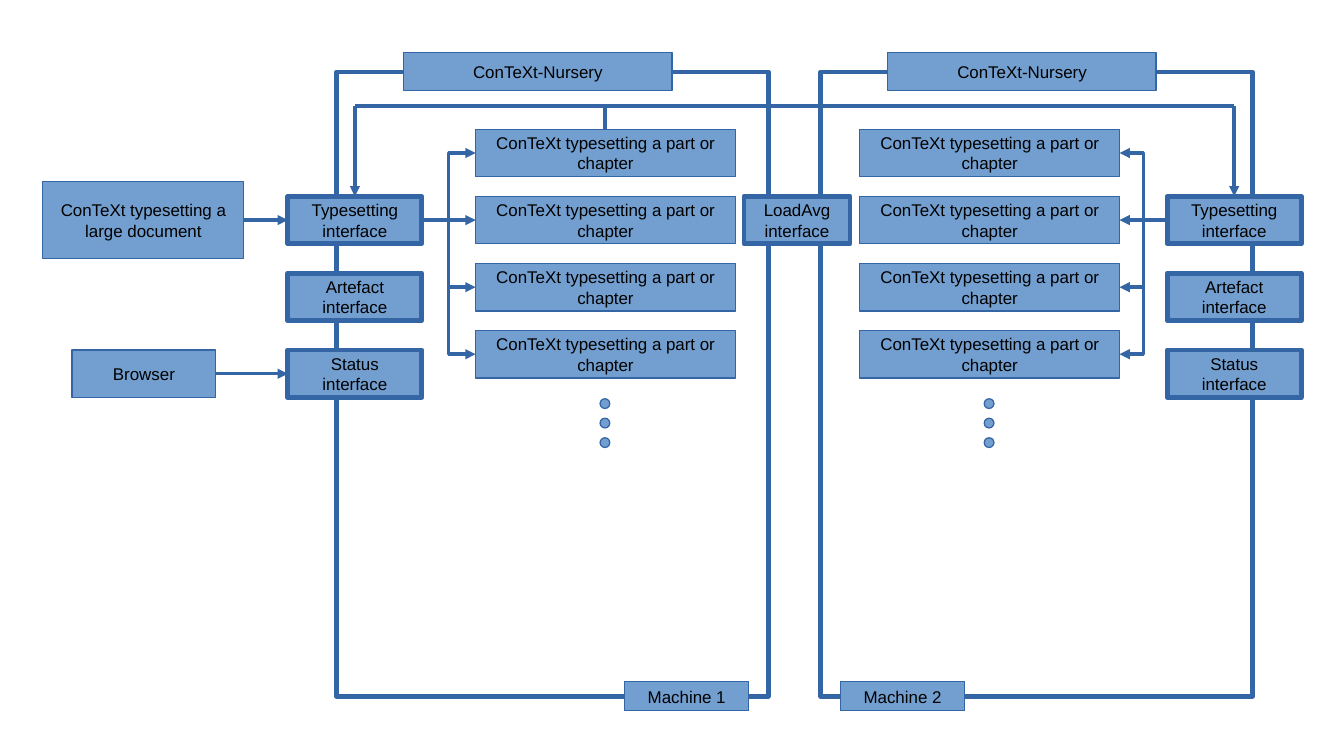
from lxml import etree
from pptx import Presentation
from pptx.dml.color import RGBColor
from pptx.enum.shapes import MSO_CONNECTOR, MSO_SHAPE
from pptx.enum.text import MSO_ANCHOR, PP_ALIGN
from pptx.oxml.ns import qn
from pptx.util import Inches, Pt

RECT, OVAL = MSO_SHAPE.RECTANGLE, MSO_SHAPE.OVAL
STRAIGHT, ELBOW = MSO_CONNECTOR.STRAIGHT, MSO_CONNECTOR.ELBOW
MIDDLE, CENTER = MSO_ANCHOR.MIDDLE, PP_ALIGN.CENTER
LEFT, RIGHT = 1, 3
FILL, EDGE, INK = "729FCF", "3465A4", "000000"
THIN, THICK = 0, 2.83
PART = "ConTeXt typesetting a part or chapter"
PORTS = ["Typesetting interface", "Artefact interface", "Status interface"]
ROW, HIGH = 1.61, 0.39
BUS = 0.87


def color(code):
    return RGBColor.from_string(code)


def add_form(slide, kind, x, y, w, h, width=THIN, fill=FILL):
    form = slide.shapes.add_shape(kind, Inches(x), Inches(y), Inches(w), Inches(h))
    form.shadow.inherit = False
    if fill:
        form.fill.solid()
        form.fill.fore_color.rgb = color(fill)
    else:
        form.fill.background()
    form.line.color.rgb = color(EDGE)
    form.line.width = Pt(width)
    return form


def add_box(slide, text, x, y, w, h, width=THIN):
    box = add_form(slide, RECT, x, y, w, h, width)
    frame = box.text_frame
    frame.word_wrap = True
    frame.vertical_anchor = MIDDLE
    side, edge = (0.12, 0.07) if width else (0.1, 0.05)
    frame.margin_left = frame.margin_right = Inches(side)
    frame.margin_top = frame.margin_bottom = Inches(edge)
    para = frame.paragraphs[0]
    para.alignment = CENTER
    run = para.add_run()
    run.text = text
    run.font.name = "Arial"
    run.font.size = Pt(10)
    run.font.color.rgb = color(INK)
    return box


def add_line(slide, start, end, kind=STRAIGHT, arrow=True):
    ends = [Inches(v) for v in (*start, *end)]
    line = slide.shapes.add_connector(kind, *ends)
    line.line.color.rgb = color(EDGE)
    line.line.width = Pt(THIN)
    if arrow:
        etree.SubElement(line.line._get_or_add_ln(), qn("a:tailEnd"), type="triangle")
    etree.SubElement(line._element.spPr, qn("a:effectLst"))
    return line


def link(slide, first, last, out=RIGHT, into=LEFT):
    level = abs(first.top + first.height // 2 - last.top - last.height // 2) < Inches(0.01)
    line = add_line(slide, (0, 0), (0, 0), STRAIGHT if level else ELBOW)
    line.begin_connect(first, out)
    line.end_connect(last, into)


def add_host(slide, x, part, port, tag, name, out, into):
    add_form(slide, RECT, x, 0.59, 3.54, 5.12, THICK, None)
    add_box(slide, "ConTeXt-Nursery", x + 0.55, 0.43, 2.2, 0.31)
    add_box(slide, name, tag, 5.59, 1.02, 0.24)
    parts = [add_box(slide, PART, part, 1.06 + 0.55 * i, 2.13, HIGH) for i in range(4)]
    ports = [add_box(slide, text, port, ROW + 0.63 * i, 1.1, HIGH, THICK)
             for i, text in enumerate(PORTS)]
    for i in range(3):
        add_form(slide, OVAL, part + 1.02, 3.27 + 0.16 * i, 0.08, 0.08)
    for item in parts:
        link(slide, ports[0], item, out, into)
    return ports


def main():
    deck = Presentation()
    deck.slide_width, deck.slide_height = Inches(11.02), Inches(6.2)
    slide = deck.slides.add_slide(deck.slide_layouts[6])

    ports = add_host(slide, 2.76, 3.9, 2.36, 5.12, "Machine 1", RIGHT, LEFT)
    add_host(slide, 6.73, 7.05, 9.57, 6.89, "Machine 2", LEFT, RIGHT)
    add_box(slide, "LoadAvg interface", 6.1, ROW, 0.87, HIGH, THICK)

    paper = add_box(slide, "ConTeXt typesetting a large document", 0.35, 1.49, 1.65, 0.63)
    viewer = add_box(slide, "Browser", 0.59, 2.87, 1.18, HIGH)
    link(slide, paper, ports[0])
    link(slide, viewer, ports[2])

    add_line(slide, (4.96, 1.06), (4.96, BUS), arrow=False)
    add_line(slide, (2.91, BUS), (10.12, BUS), arrow=False)
    for x in (2.91, 10.12):
        add_line(slide, (x, BUS), (x, ROW))
    deck.save("out.pptx")


if __name__ == "__main__":
    main()
